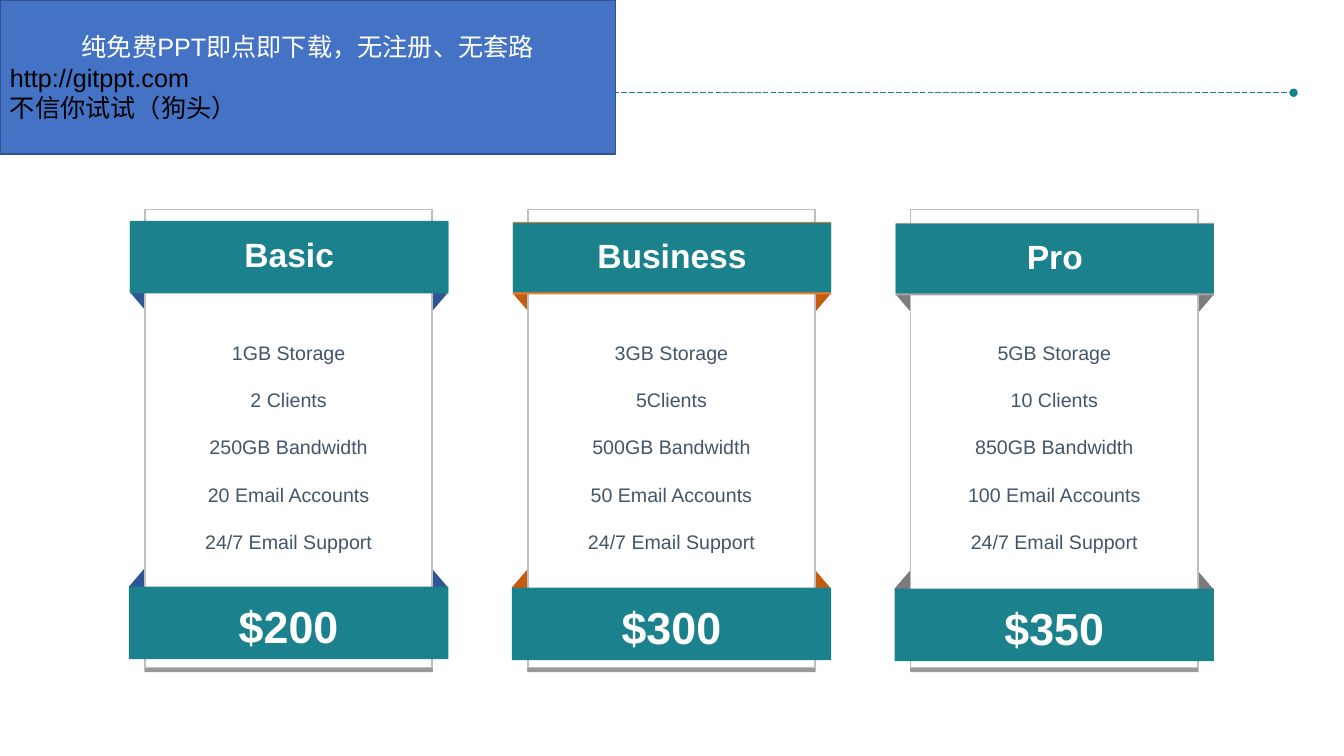
from dataclasses import dataclass
from lxml import etree
from pptx import Presentation
from pptx.dml.color import RGBColor as RGB
from pptx.enum.dml import MSO_LINE as Dash
from pptx.enum.shapes import MSO_CONNECTOR as Link, MSO_SHAPE as Kind
from pptx.enum.text import MSO_ANCHOR as Anchor, PP_ALIGN as Align
from pptx.oxml import parse_xml
from pptx.oxml.ns import nsdecls, qn
from pptx.util import Inches, Pt


@dataclass(frozen=True)
class Theme:
    font: str = "Arial"
    teal: str = "1B828D"
    white: str = "FFFFFF"
    black: str = "000000"
    blue: str = "4472C4"
    navy: str = "2F528F"
    edge: str = "BFBFBF"
    ink: str = "44546A"
    body: int = 14
    note: int = 18
    name: int = 24
    price: int = 32


THEME = Theme()

NOTE = ["纯免费PPT即点即下载，无注册、无套路", "http://gitppt.com",
        "不信你试试（狗头）"]

# Plan name, price, fold colour, trim colour, features
PLANS = [
    ("Basic", "$200", "2F5597", THEME.teal,
     ["1GB Storage", "2 Clients", "250GB Bandwidth",
      "20 Email Accounts", "24/7 Email Support"]),
    ("Business", "$300", "C55A11", "ED7D31",
     ["3GB Storage", "5Clients", "500GB Bandwidth",
      "50 Email Accounts", "24/7 Email Support"]),
    ("Pro", "$350", "7C7C7C", "A5A5A5",
     ["5GB Storage", "10 Clients", "850GB Bandwidth",
      "100 Email Accounts", "24/7 Email Support"]),
]
LEFT, PITCH, DROP = 1.28, 3.8, 0.01


def paint(shape, fill, line=None):
    shape.shadow.inherit = False
    shape.fill.solid()
    shape.fill.fore_color.rgb = RGB.from_string(fill)
    if line:
        shape.line.color.rgb = RGB.from_string(line)
        shape.line.width = Pt(1)
    else:
        shape.line.fill.background()


def add_rect(slide, x, y, w, h, fill, line=None):
    rect = slide.shapes.add_shape(
        Kind.RECTANGLE, Inches(x), Inches(y), Inches(w), Inches(h))
    paint(rect, fill, line)
    return rect


def write(shape, lines, size, color, bold=False, gap=0, lead=1.0):
    frame = shape.text_frame
    frame.word_wrap = True
    frame.text = "\n".join(lines)
    for i, para in enumerate(frame.paragraphs):
        para.alignment = Align.CENTER
        para.line_spacing = lead
        if i:
            para.space_before = Pt(gap)
        para.font.name = THEME.font
        para.font.size = Pt(size)
        para.font.bold = bold
        para.font.color.rgb = RGB.from_string(color)
    return frame


def add_fold(slide, x, y, side, down, fill):
    """Ribbon end: side is -1 left or 1 right, down is -1 up or 1 down."""
    spots = [(0.24, 0.28), (0.14, 0.64), (0, 0.42)]
    build = slide.shapes.build_freeform(Inches(x), Inches(y))
    build.add_line_segments(
        [(Inches(x + side * dx), Inches(y + down * dy)) for dx, dy in spots])
    paint(build.convert_to_shape(), fill)


def add_panel(slide, x):
    panel = add_rect(slide, x, 2.08, 2.85, 4.54, THEME.white, THEME.edge)
    # Hard shadow, 3 pt straight down
    panel._element.spPr.find(qn("a:effectLst")).append(parse_xml(
        f'<a:outerShdw {nsdecls("a")} blurRad="0" dist="38100" dir="5400000">'
        '<a:srgbClr val="000000"><a:alpha val="40000"/></a:srgbClr>'
        '</a:outerShdw>'))


def add_rule(slide):
    rule = slide.shapes.add_connector(
        Link.STRAIGHT, Inches(1.49), Inches(0.92), Inches(12.84), Inches(0.92))
    rule.line.color.rgb = RGB.from_string(THEME.teal)
    rule.line.width = Pt(0.5)
    rule.line.dash_style = Dash.LONG_DASH
    props = rule._element.spPr
    etree.SubElement(props.find(qn("a:ln")), qn("a:tailEnd"), type="oval")
    etree.SubElement(props, qn("a:effectLst"))


def add_note(slide):
    box = add_rect(slide, 0, 0, 6.11, 1.53, THEME.blue, THEME.navy)
    frame = write(box, NOTE, THEME.note, THEME.white)
    frame.vertical_anchor = Anchor.MIDDLE
    for para in frame.paragraphs[1:]:
        para.alignment = Align.LEFT
        para.font.color.rgb = RGB.from_string(THEME.black)


def add_card(slide, i, plan):
    name, price, fold, trim, items = plan
    x, drop = LEFT + i * PITCH, i * DROP

    # Folds, then the panel that covers their inner ends
    for side, inset in ((-1, 0.24), (1, 2.92)):
        add_fold(slide, x + inset, 5.54 + drop, side, 1, fold)
        add_fold(slide, x + inset + 0.01, 3.18 + drop, side, -1, fold)
    add_panel(slide, x + 0.16)

    # Features
    box = slide.shapes.add_textbox(
        Inches(x + 0.16), Inches(3.33), Inches(2.85), Inches(2.2))
    write(box, items, THEME.body, THEME.ink, gap=17)

    # Name band over its trim
    add_rect(slide, x + 0.01, 2.19 + drop, 3.16, 0.72, trim)
    band = add_rect(slide, x + 0.01, 2.2 + drop, 3.16, 0.69, THEME.teal)
    frame = write(band, [name], THEME.name, THEME.white, True, lead=0.9)
    frame.vertical_anchor = Anchor.MIDDLE

    # Price band
    foot = add_rect(slide, x, 5.82 + drop, 3.17, 0.72, THEME.teal)
    frame = write(foot, [price], THEME.price, THEME.white, True)
    frame.vertical_anchor = Anchor.MIDDLE
    frame.margin_top = Inches(0.1)


def main():
    deck = Presentation()
    deck.slide_width, deck.slide_height = Inches(13.34), Inches(7.5)
    slide = deck.slides.add_slide(deck.slide_layouts[6])
    add_rule(slide)
    for i, plan in enumerate(PLANS):
        add_card(slide, i, plan)
    add_note(slide)
    deck.save("out.pptx")


if __name__ == "__main__":
    main()
